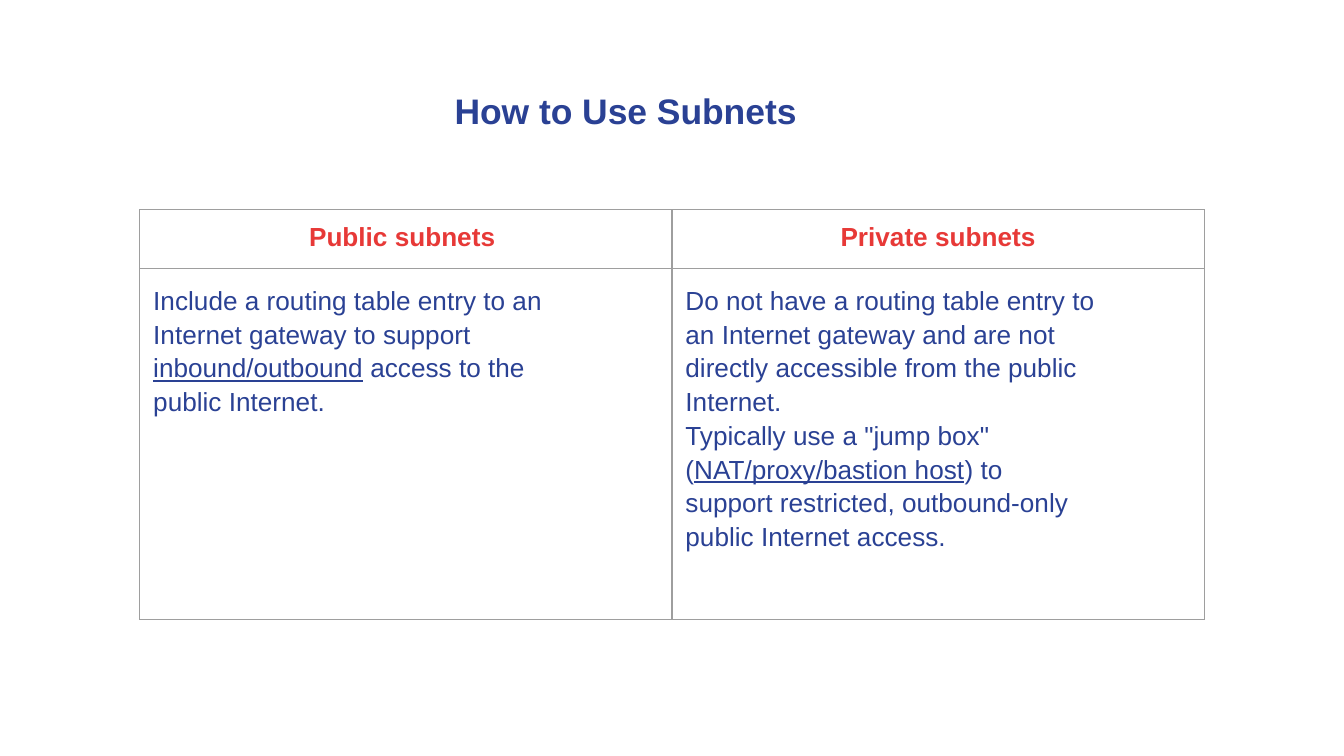
from lxml import etree
from pptx import Presentation
from pptx.dml.color import RGBColor
from pptx.enum.text import MSO_ANCHOR, MSO_AUTO_SIZE, PP_ALIGN
from pptx.oxml.ns import qn
from pptx.util import Inches, Pt

CENTER = PP_ALIGN.CENTER
LEFT = PP_ALIGN.LEFT
MIDDLE = MSO_ANCHOR.MIDDLE
TOP = MSO_ANCHOR.TOP
NO_FIT = MSO_AUTO_SIZE.NONE
FONT = "Arial"
COLORS = {"blue": "2A4194", "red": "E73937", "grey": "9E9E9E", "white": "FFFFFF"}
HEADS = ["Public subnets ", "Private subnets"]
NOTES = [
    [
        ["Include a routing table entry to an"],
        ["Internet gateway to support"],
        ["", "inbound/outbound", " access to the"],
        ["public Internet."],
    ],
    [
        ["Do not have a routing table entry to"],
        ["an Internet gateway and are not"],
        ["directly accessible from the public"],
        ["Internet."],
        ['Typically use a "jump box"'],
        ["(", "NAT/proxy/bastion host", ") to"],
        ["support restricted, outbound-only"],
        ["public Internet access."],
    ],
]


def color(name):
    return RGBColor.from_string(COLORS[name])


def pad(item):
    item.margin_left = item.margin_right = Inches(0.1)
    item.margin_top = item.margin_bottom = Inches(0.1)


def add_run(para, text, size, hue, bold=False, under=False):
    run = para.add_run()
    run.text = text
    font = run.font
    font.name, font.size, font.bold = FONT, Pt(size), bold
    font.underline = under
    font.color.rgb = color(hue)


def add_title(slide, text):
    title = slide.shapes.title
    title.left, title.top = Inches(1.5), Inches(0.56)
    title.width, title.height = Inches(6.31), Inches(0.52)
    frame = title.text_frame
    frame.auto_size = NO_FIT
    frame.word_wrap = True
    frame.vertical_anchor = MIDDLE
    pad(frame)
    para = frame.paragraphs[0]
    para.alignment = CENTER
    add_run(para, text, 19, "blue", bold=True)


def add_edges(cell):
    props = cell._tc.get_or_add_tcPr()
    for side in ("lnL", "lnR", "lnT", "lnB"):
        line = etree.SubElement(props, qn("a:" + side), w=str(Pt(0.75)))
        fill = etree.SubElement(line, qn("a:solidFill"))
        etree.SubElement(fill, qn("a:srgbClr"), val=COLORS["grey"])


def style_cell(cell):
    pad(cell)
    cell.vertical_anchor = TOP
    add_edges(cell)
    cell.fill.solid()
    cell.fill.fore_color.rgb = color("white")


def fill_head(cell, text):
    style_cell(cell)
    para = cell.text_frame.paragraphs[0]
    para.alignment = CENTER
    add_run(para, text, 14, "red", bold=True)


def fill_body(cell, lines):
    style_cell(cell)
    frame = cell.text_frame
    for row, parts in enumerate(lines):
        para = frame.add_paragraph() if row else frame.paragraphs[0]
        para.alignment = LEFT
        para.line_spacing = 1.15
        for spot, text in enumerate(parts):
            if text:
                add_run(para, text, 14, "blue", under=spot == 1)


def add_grid(slide):
    frame = slide.shapes.add_table(
        2, 2, Inches(1.04), Inches(1.56), Inches(7.92), Inches(3.05)
    )
    table = frame.table
    table.first_row = table.horz_banding = False
    for row, height in zip(table.rows, (0.44, 2.61)):
        row.height = Inches(height)
    for col, (head, lines) in enumerate(zip(HEADS, NOTES)):
        table.columns[col].width = Inches(3.96)
        fill_head(table.cell(0, col), head)
        fill_body(table.cell(1, col), lines)


def main():
    deck = Presentation()
    deck.slide_width = Inches(10)
    deck.slide_height = Inches(10 * 9 / 16)
    slide = deck.slides.add_slide(deck.slide_layouts[5])
    slide.background.fill.solid()
    slide.background.fill.fore_color.rgb = color("white")
    add_title(slide, "How to Use Subnets")
    add_grid(slide)
    deck.save("out.pptx")


if __name__ == "__main__":
    main()
